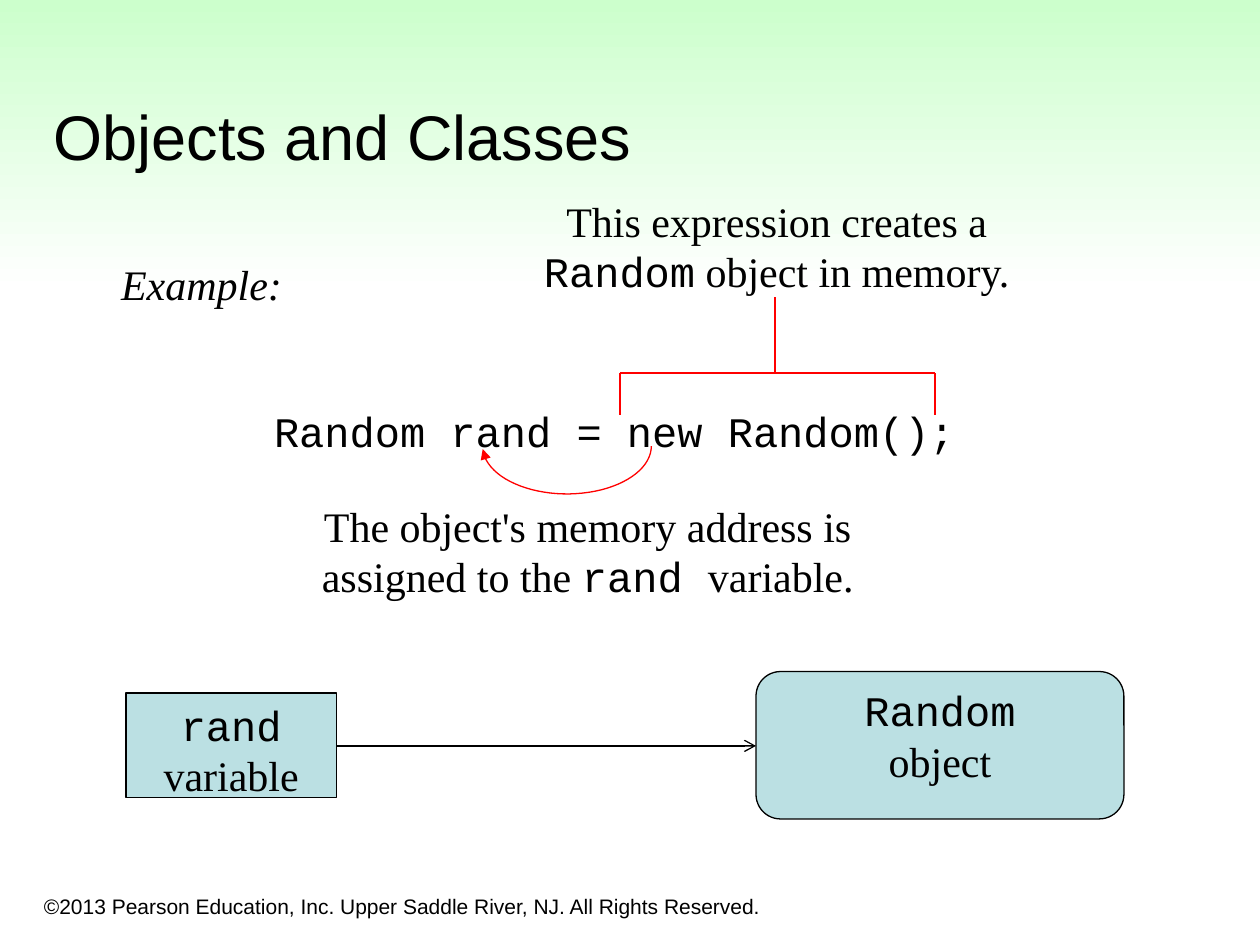
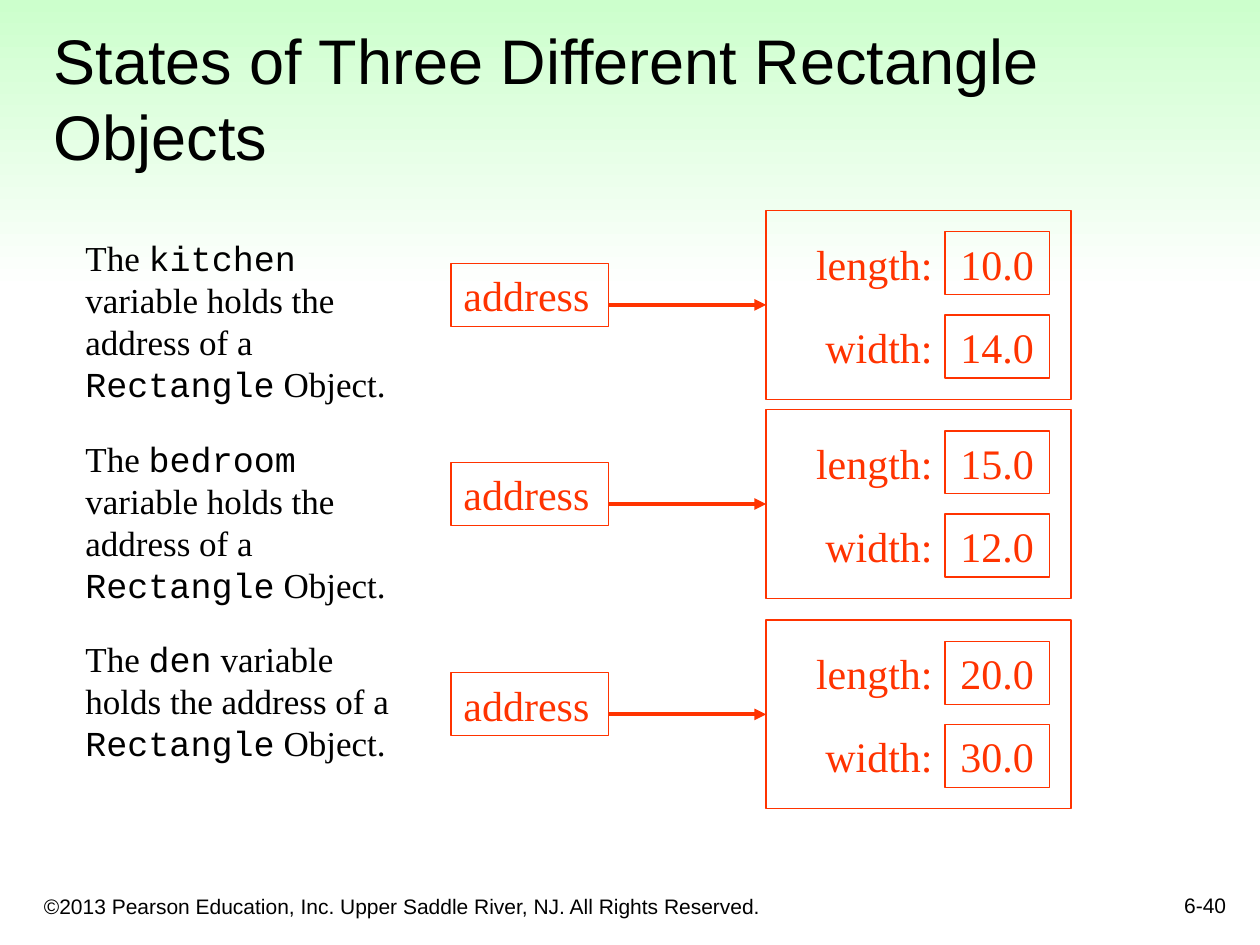
from math import cos, pi, sin

from lxml import etree
from pptx import Presentation
from pptx.dml.color import RGBColor
from pptx.enum.shapes import MSO_CONNECTOR, MSO_SHAPE
from pptx.enum.text import MSO_ANCHOR, PP_ALIGN
from pptx.oxml.ns import qn
from pptx.util import Inches, Pt

RECT, ROUND = MSO_SHAPE.RECTANGLE, MSO_SHAPE.ROUNDED_RECTANGLE
LINE = MSO_CONNECTOR.STRAIGHT
TOP, BOTTOM = MSO_ANCHOR.TOP, MSO_ANCHOR.BOTTOM
LEFT, MID, RIGHT = PP_ALIGN.LEFT, PP_ALIGN.CENTER, PP_ALIGN.RIGHT

HUES = {"ink": "000000", "mint": "CCFFCC", "white": "FFFFFF",
        "teal": "BBE0E3", "red": "FF0000", "flame": "FF3300"}
SANS, SERIF, MONO = "Arial", "Times New Roman", "Courier New"

RIGHTS = "©2013 Pearson Education, Inc. Upper Saddle River, NJ. All Rights Reserved."
TITLES = ["Objects and Classes", "States of Three Different Rectangle Objects"]
PAGE = "6-40"

LABELS = [
    ((0.5, 3.17, 8.75, 0.5), [("Random rand = new Random();", MONO)], {}),
    ((4.08, 1.5, 4.17, 0.9), [("This expression creates a ", SERIF), ("Random", MONO),
                              (" object in memory.", SERIF)], {}),
    ((2, 3.92, 5.33, 0.9), [("The object's memory address is assigned to the ", SERIF),
                            ("rand ", MONO), ("variable.", SERIF)], {}),
    ((0.8, 2, 1.6, 0.5), [("Example:", SERIF)], {"italic": True}),
]
NODES = [
    (RECT, (1, 5.5, 1.67, 0.83), "rand", "variable"),
    (ROUND, (6, 5.33, 2.92, 1.17), "Random", "object"),
]
BRACE = [(4.92, 3.29, 4.92, 2.96), (4.92, 2.96, 7.42, 2.96),
         (7.42, 3.29, 7.42, 2.96), (6.15, 2.95, 6.15, 2.36)]
ARC = {"x": 4.5, "y": 3.54, "wide": 0.67, "high": 0.38, "steps": 40}

ROOMS = [
    ("kitchen", 1.67, {"length:": "10.0", "width:": "14.0"}),
    ("bedroom", 3.25, {"length:": "15.0", "width:": "12.0"}),
    ("den", 4.92, {"length:": "20.0", "width:": "30.0"}),
]
NOTE_TOP, NOTE_STEP = 1.83, 1.59
FIELD_TOP, FIELD_STEP = 0.17, 0.66


def rgb(hue):
    return RGBColor.from_string(HUES[hue])


def style(item, values):
    for name, value in values.items():
        setattr(item, name, value)


def write(shape, paras, size=24, hue="ink", align=MID, anchor=TOP, wrap=True, italic=False):
    frame = shape.text_frame
    style(frame, {"word_wrap": wrap, "vertical_anchor": anchor,
                  "margin_left": Inches(0.1), "margin_right": Inches(0.1),
                  "margin_top": Inches(0.05), "margin_bottom": Inches(0.05)})
    for i, runs in enumerate(paras):
        para = frame.add_paragraph() if i else frame.paragraphs[0]
        para.alignment = align
        for text, face in runs:
            run = para.add_run()
            run.text = text
            style(run.font, {"name": face, "size": Pt(size), "italic": italic})
            run.font.color.rgb = rgb(hue)


def label(slide, at, runs, **look):
    write(slide.shapes.add_textbox(*map(Inches, at)), [runs], **look)


def stroke(line, hue, width=0.75, head=None):
    line.color.rgb = rgb(hue)
    line.width = Pt(width)
    if head:
        etree.SubElement(line._get_or_add_ln(), qn("a:tailEnd"), type=head)


def box(slide, at, hue, fill=None, kind=RECT):
    shape = slide.shapes.add_shape(kind, *map(Inches, at))
    shape.shadow.inherit = False
    if fill:
        shape.fill.solid()
        shape.fill.fore_color.rgb = rgb(fill)
    else:
        shape.fill.background()
    stroke(shape.line, hue)
    return shape


def link(slide, ends, hue, width=0.75, head=None):
    wire = slide.shapes.add_connector(LINE, *map(Inches, ends))
    stroke(wire.line, hue, width, head)
    etree.SubElement(wire._element.spPr, qn("a:effectLst"))


def start(deck, title):
    slide = deck.slides.add_slide(deck.slide_layouts[6])
    band = box(slide, (0, 0, 10, 2.32), "white")
    band.line.fill.background()
    band.fill.gradient()
    band.fill.gradient_angle = 270
    for stop, hue, place in zip(band.fill.gradient_stops, ("mint", "white"), (0, 1)):
        stop.color.rgb = rgb(hue)
        stop.position = place
    label(slide, (0.25, 6.92, 6.08, 0.42), [(RIGHTS, SANS)],
          size=12, align=LEFT, anchor=BOTTOM)
    label(slide, (0.33, 0.33, 9.42, 1.09), [(title, SANS)],
          size=36, align=LEFT, anchor=BOTTOM)
    return slide


def draw_arc(slide):
    turns = [pi * 0.98 * i / ARC["steps"] for i in range(ARC["steps"] + 1)]
    dots = [(Inches(ARC["x"] + ARC["wide"] * cos(t)),
             Inches(ARC["y"] + ARC["high"] * sin(t))) for t in turns]
    path = slide.shapes.build_freeform(*dots[0])
    path.add_line_segments(dots[1:], close=False)
    curve = path.convert_to_shape()
    curve.shadow.inherit = False
    curve.fill.background()
    stroke(curve.line, "red", head="triangle")


def draw_class(deck):
    slide = start(deck, TITLES[0])
    for at, runs, look in LABELS:
        label(slide, at, runs, **look)
    for kind, at, name, role in NODES:
        node = box(slide, at, "ink", "teal", kind)
        write(node, [[(name, MONO)], [(role, SERIF)]], wrap=False)
    link(slide, (2.67, 5.92, 6, 5.92), "ink", head="arrow")
    for ends in BRACE:
        link(slide, ends, "red")
    draw_arc(slide)


def draw_rooms(deck):
    slide = start(deck, TITLES[1])
    label(slide, (7.75, 6.83, 2.08, 0.5), [(PAGE, SANS)],
          size=12, align=RIGHT, anchor=BOTTOM)
    for i, (room, top, fields) in enumerate(ROOMS):
        note = [("The ", SERIF), (room, MONO), (" variable holds the address of a ", SERIF),
                ("Rectangle", MONO), (" Object.", SERIF)]
        label(slide, (0.58, NOTE_TOP + i * NOTE_STEP, 2.83, 1.44), note,
              size=20, align=LEFT)
        cell = box(slide, (3.58, top + 0.42, 1.25, 0.5), "flame")
        write(cell, [[("address", SERIF)]], hue="flame", align=LEFT)
        box(slide, (6.08, top, 2.42, 1.5), "flame")
        for j, (name, value) in enumerate(fields.items()):
            y = top + FIELD_TOP + j * FIELD_STEP
            label(slide, (6.25, y, 1.25, 0.5), [(name, SERIF)], hue="flame", align=RIGHT)
            cell = box(slide, (7.5, y, 0.83, 0.5), "flame")
            write(cell, [[(value, SERIF)]], hue="flame")
        link(slide, (4.83, top + 0.75, 6.08, top + 0.75), "flame", 2.25, "triangle")


def main():
    deck = Presentation()
    style(deck, {"slide_width": Inches(10), "slide_height": Inches(7.5)})
    draw_class(deck)
    draw_rooms(deck)
    deck.save("out.pptx")


if __name__ == "__main__":
    main()
